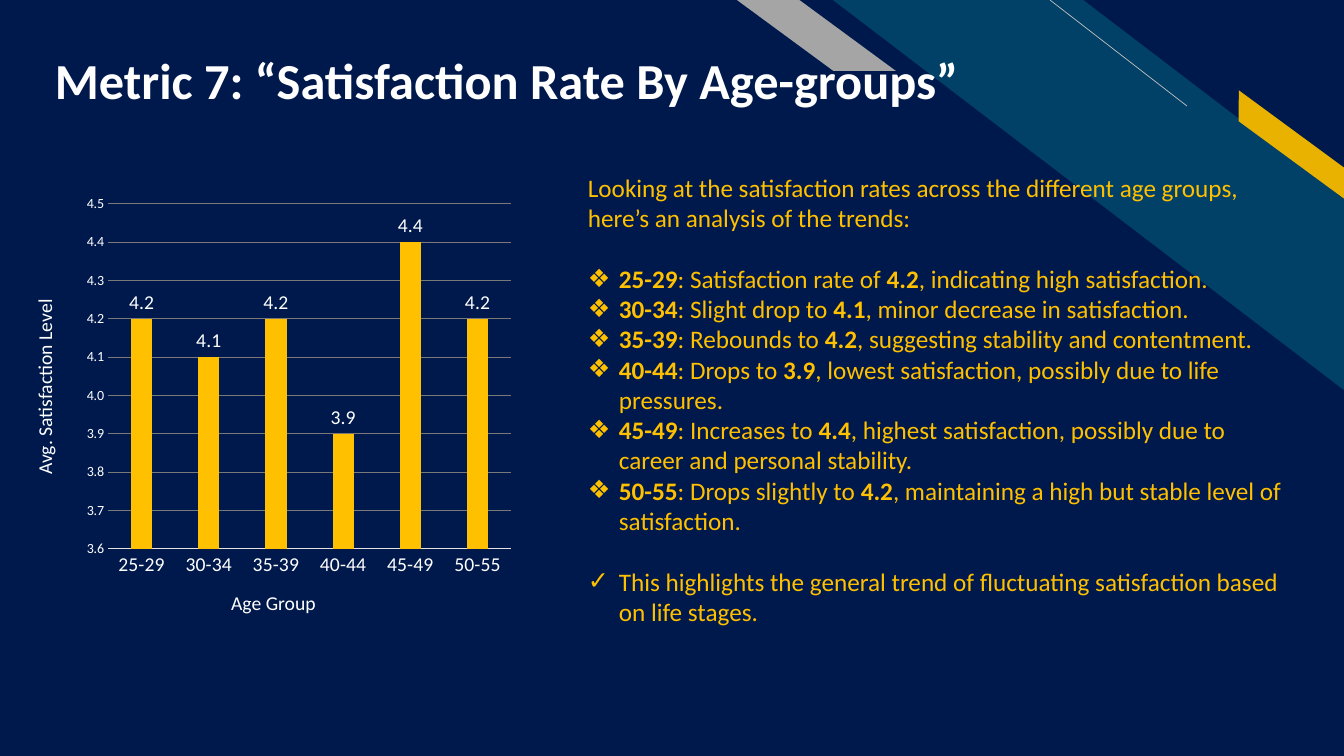
from lxml import etree
from pptx import Presentation
from pptx import util as u
from pptx.chart import data as chart_data
from pptx.dml.color import RGBColor
from pptx.enum import chart as charts, shapes, text
from pptx.oxml import ns

EMU_PER_PX = 914400 / 100.8
NAVY, TEAL, GOLD, GREY = "00194C", "014067", "EAB200", "A5A5A5"
WHITE, AMBER = "FFFFFF", "FFC000"
BODY_FONT = "Calibri"

INTRO = ("Looking at the satisfaction rates across the different age groups, "
         "here’s an analysis of the trends:")
SUMMARY = ("This highlights the general trend of fluctuating satisfaction "
           "based on life stages.")
# age group, rate, words before the rate, words after it
TRENDS = [
    ("25-29", 4.2, "Satisfaction rate of", "indicating high satisfaction."),
    ("30-34", 4.1, "Slight drop to", "minor decrease in satisfaction."),
    ("35-39", 4.2, "Rebounds to", "suggesting stability and contentment."),
    ("40-44", 3.9, "Drops to", "lowest satisfaction, possibly due to life pressures."),
    ("45-49", 4.4, "Increases to",
     "highest satisfaction, possibly due to career and personal stability."),
    ("50-55", 4.2, "Drops slightly to",
     "maintaining a high but stable level of satisfaction."),
]


def px(length):
    return u.Emu(round(length * EMU_PER_PX))


def color(hex_value):
    return RGBColor.from_string(hex_value)


def apply(target, values):
    for name, value in values.items():
        setattr(target, name, value)


def style_font(font, size, hex_value, bold=False):
    apply(font, {"size": u.Pt(size), "name": BODY_FONT, "bold": bold})
    font.color.rgb = color(hex_value)


def style_line(line, hex_value, width):
    line.color.rgb = color(hex_value)
    line.width = u.Pt(width)


def add_band(slide, kind, box, fill, adjustment=None, rotation=0):
    """Add a plain filled shape; slanted ones are mirrored."""
    shape = slide.shapes.add_shape(kind, *map(px, box))
    shape.shadow.inherit = False
    shape.fill.solid()
    shape.fill.fore_color.rgb = color(fill)
    shape.line.fill.background()
    shape.rotation = rotation
    if adjustment is not None:
        shape.adjustments[0] = adjustment
        shape._element.spPr.get_or_add_xfrm().set("flipH", "1")


def add_thin_line(slide, start, end, hex_value, width):
    line = slide.shapes.add_connector(
        shapes.MSO_CONNECTOR.STRAIGHT, *map(px, start + end))
    style_line(line.line, hex_value, width)
    etree.SubElement(line._element.spPr, ns.qn("a:effectLst"))


def add_text(slide, box, words, size, hex_value=WHITE, bold=False, rotation=0,
             frame_format=None, paragraph_format=None):
    shape = slide.shapes.add_textbox(*map(px, box))
    shape.rotation = rotation
    frame = shape.text_frame
    apply(frame, {"word_wrap": True} | (frame_format or {}))
    paragraph = frame.paragraphs[0]
    apply(paragraph, paragraph_format or {})
    add_run(paragraph, words, size, hex_value, bold)
    return frame


def add_run(paragraph, words, size, hex_value, bold=False):
    run = paragraph.add_run()
    run.text = words
    style_font(run.font, size, hex_value, bold)


def add_bullet(frame, mark, parts, space_before=0):
    """Add a hanging bullet from (words, bold) parts."""
    paragraph = frame.add_paragraph()
    paragraph.space_before = u.Pt(space_before)
    properties = paragraph._p.get_or_add_pPr()
    properties.set("marL", str(px(31)))
    properties.set("indent", str(-px(31)))
    etree.SubElement(properties, ns.qn("a:buFont"), typeface="Arial")
    etree.SubElement(properties, ns.qn("a:buChar"), char=mark)
    for words, bold in parts:
        add_run(paragraph, words, 18, AMBER, bold)


def add_rate_chart(slide, box):
    data = chart_data.CategoryChartData(number_format="0.0")
    data.categories = [trend[0] for trend in TRENDS]
    data.add_series("Series 1", [trend[1] for trend in TRENDS])
    chart = slide.shapes.add_chart(
        charts.XL_CHART_TYPE.COLUMN_CLUSTERED, *map(px, box), data).chart
    apply(chart, {"has_legend": False, "has_title": False})
    style_font(chart.font, 10, "3F3F3F")

    # Columns and their labels
    plot = chart.plots[0]
    apply(plot, {"gap_width": 219, "overlap": -27, "vary_by_categories": False,
                 "has_data_labels": True})
    fill = plot.series[0].format.fill
    fill.solid()
    fill.fore_color.rgb = color(AMBER)
    apply(plot.data_labels, {
        "show_value": True, "number_format": "0.0",
        "number_format_is_linked": False,
        "position": charts.XL_LABEL_POSITION.OUTSIDE_END})
    style_font(plot.data_labels.font, 14, WHITE)

    # Axes
    for axis, size in ((chart.category_axis, 14), (chart.value_axis, 10)):
        apply(axis, {"major_tick_mark": charts.XL_TICK_MARK.NONE,
                     "minor_tick_mark": charts.XL_TICK_MARK.NONE})
        style_font(axis.tick_labels.font, size, WHITE)
    style_line(chart.category_axis.format.line, "E2E2E2", 0.75)
    values = chart.value_axis
    apply(values, {"minimum_scale": 3.6, "maximum_scale": 4.5, "major_unit": 0.1,
                   "has_major_gridlines": True})
    apply(values.tick_labels, {"number_format": "0.0",
                               "number_format_is_linked": False})
    values.format.line.fill.background()
    style_line(values.major_gridlines.format.line, "797979", 0.75)


def add_analysis(slide, box):
    frame = add_text(slide, box, INTRO, 18, AMBER)
    for index, (ages, rate, before, after) in enumerate(TRENDS):
        parts = [(ages, True), (f": {before} ", False),
                 (str(rate), True), (f", {after}", False)]
        add_bullet(frame, "❖", parts, space_before=0 if index else 22)
    add_bullet(frame, "✓", [(SUMMARY, False)], space_before=22)


def main():
    presentation = Presentation()
    apply(presentation, {"slide_width": px(1344), "slide_height": px(756)})
    slide = presentation.slides.add_slide(presentation.slide_layouts[6])
    kinds = shapes.MSO_SHAPE

    # Backdrop
    add_band(slide, kinds.RECTANGLE, (0, 0, 1344, 756), NAVY)
    add_band(slide, kinds.DIAGONAL_STRIPE, (833, 0, 511, 390), TEAL, 0.51)
    add_thin_line(slide, (1187, 106), (1050, 0), "BFBFBF", 0.5)
    add_band(slide, kinds.PARALLELOGRAM, (1217, 132, 149, 25), GOLD, 0.72, 36.3)
    add_band(slide, kinds.PARALLELOGRAM, (737, 0, 159, 71), GREY, 1.36)

    # Title
    add_text(slide, (45, 30, 950, 80), "Metric 7: “Satisfaction Rate By Age-groups”",
             36, bold=True,
             frame_format={"vertical_anchor": text.MSO_ANCHOR.BOTTOM,
                           "margin_bottom": 0},
             paragraph_format={"line_spacing": 0.9})

    # Analysis
    add_analysis(slide, (578, 167, 724, 499))

    # Chart with axis captions
    add_rate_chart(slide, (78, 188, 442, 397))
    centred = {"alignment": text.PP_ALIGN.CENTER}
    add_text(slide, (136, 586, 275, 34), "Age Group", 14, paragraph_format=centred)
    add_text(slide, (-93, 370, 275, 34), "Avg. Satisfaction Level", 14,
             rotation=270, paragraph_format=centred)

    presentation.save("out.pptx")


if __name__ == "__main__":
    main()
